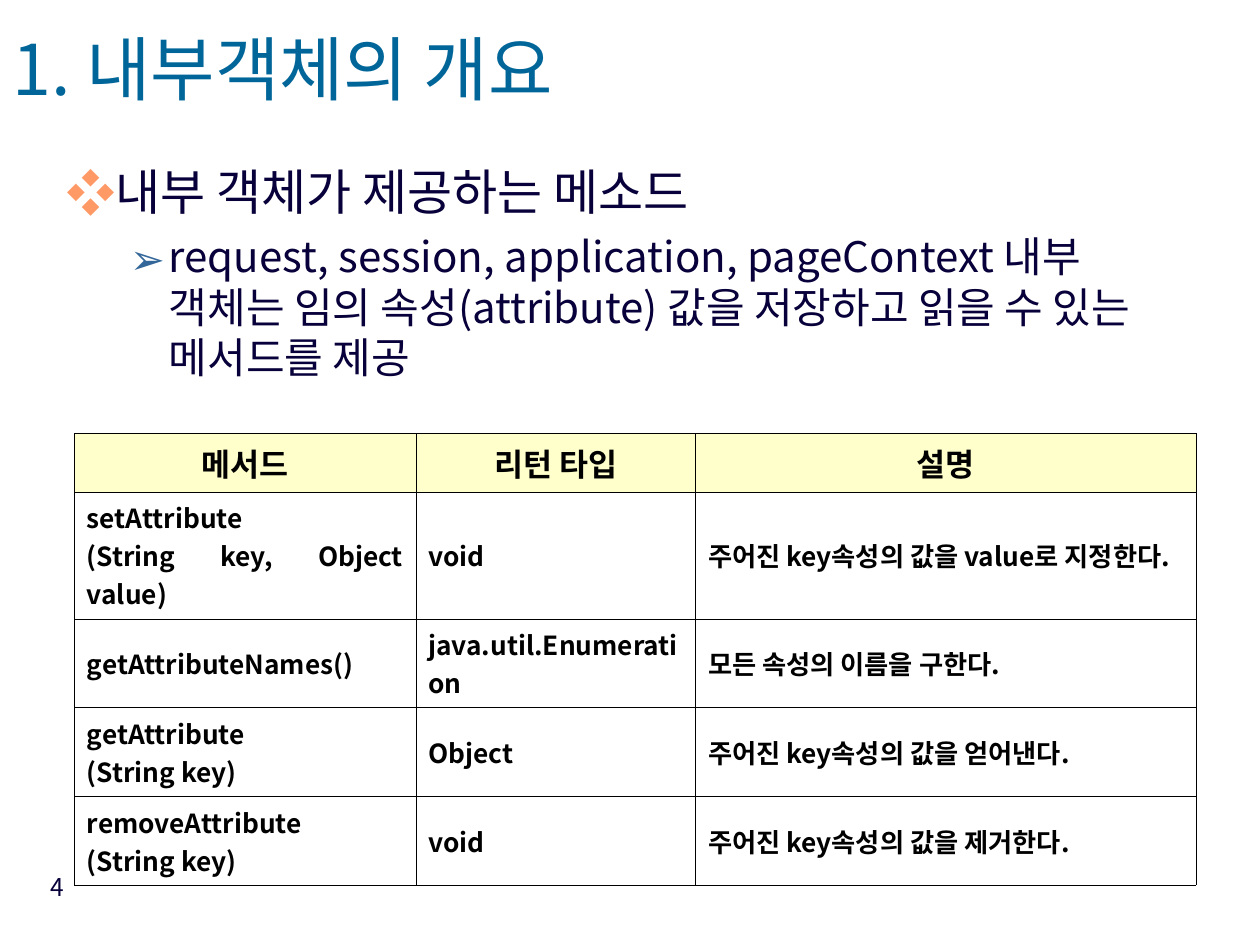
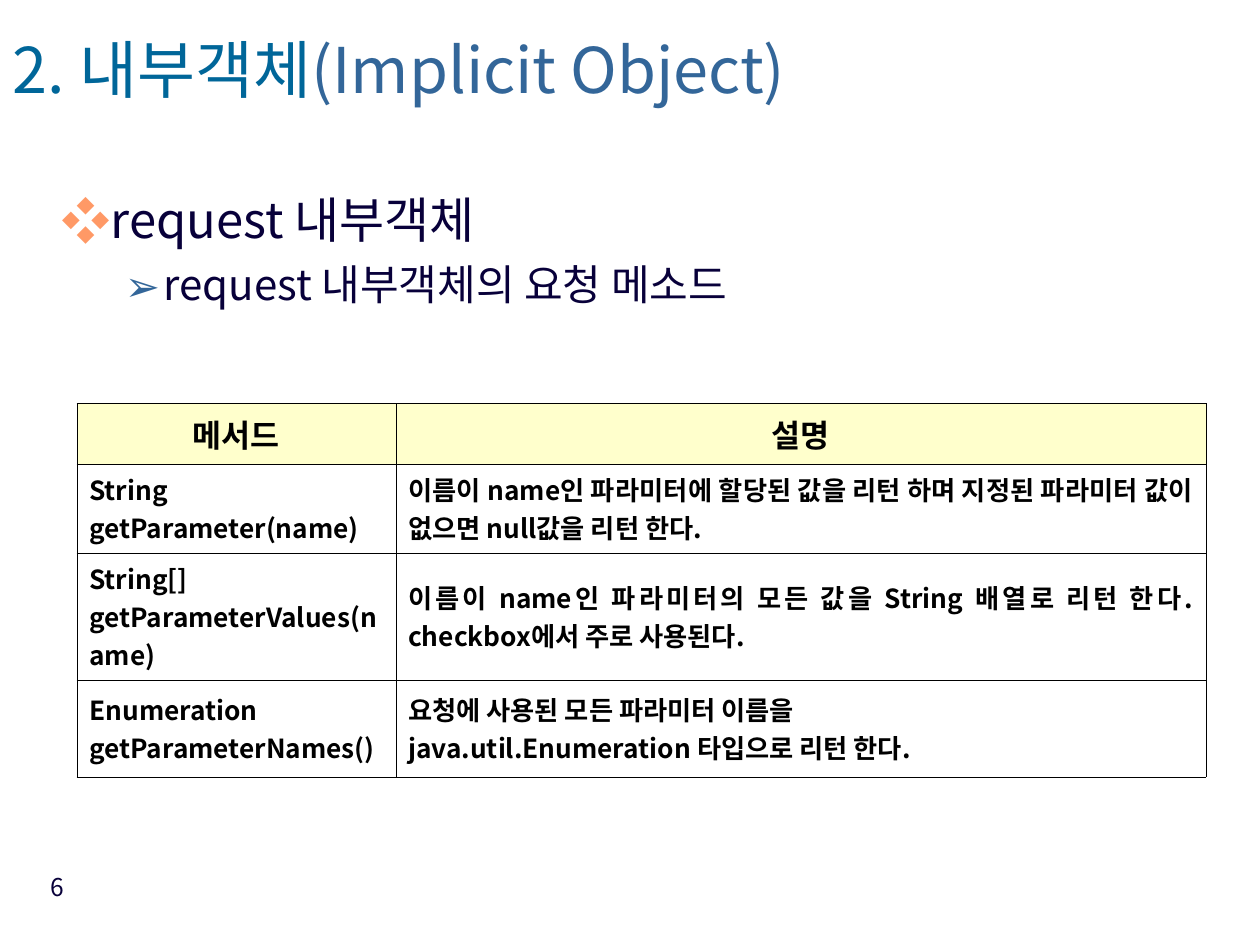
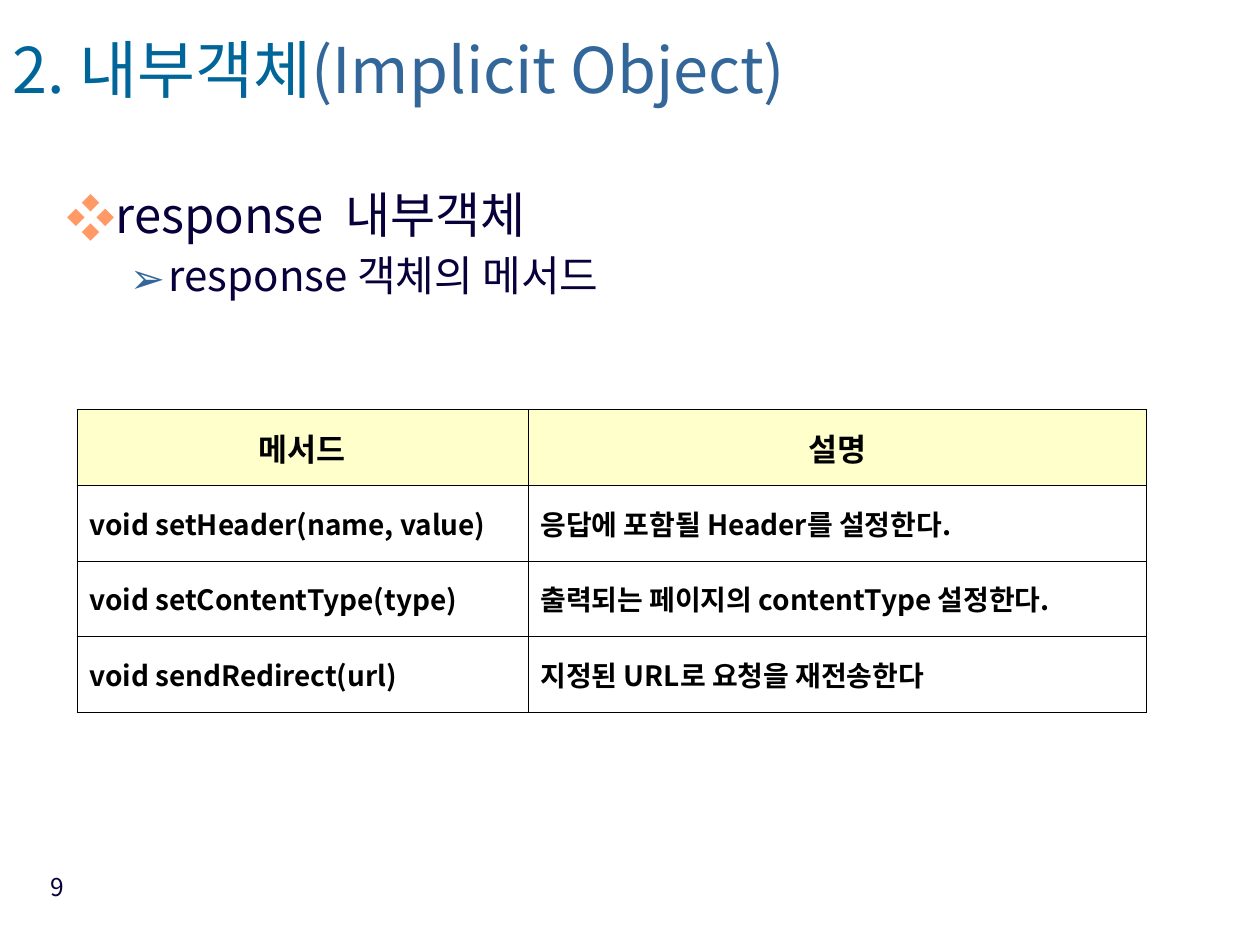
"""Builds three slides on JSP built-in objects, each with a method table."""
from dataclasses import dataclass
from typing import Any

from lxml.etree import SubElement
from pptx import Presentation
from pptx.dml.color import RGBColor
from pptx.enum.text import MSO_ANCHOR as Anchor, MSO_AUTO_SIZE as AutoSize, PP_ALIGN as Align
from pptx.oxml import parse_xml
from pptx.oxml.ns import nsdecls, qn
from pptx.util import Inches, Pt

FONT = "Noto Sans CJK KR"
TEAL, BLUE, ORANGE, NAVY = "006699", "336699", "FF9966", "08003A"
BLACK, WHITE, CREAM = "000000", "FFFFFF", "FFFFCC"
BORDER_WIDTH = Pt(0.06)


@dataclass(frozen=True)
class Level:
    bullet: str
    color: str
    size: float
    indent: float
    hanging: float
    before: float


@dataclass(frozen=True)
class MethodTable:
    left: float
    top: float
    cols: list[float]
    heights: list[float]
    size: float
    rows: list[list[str]]


@dataclass(frozen=True)
class MethodSlide:
    number: int
    title: list[tuple[str, str]]
    title_size: float
    body_box: tuple[float, float, float, float]
    points: list[str]
    table: MethodTable
    spacing: float = 1.0


LEVELS = [Level("❖", ORANGE, 28, 0.38, 0.38, 7), Level("➢", BLUE, 24, 0.81, 0.31, 6)]
IMPLICIT_TITLE = [("2. 내부객체", TEAL), ("(Implicit Object)", BLUE)]

SLIDES = [
    MethodSlide(
        4, [("1. 내부객체의 개요", TEAL)], 40, (0.43, 1.23, 9.21, 2.21),
        ["내부 객체가 제공하는 메소드",
         "request, session, application, pageContext 내부 객체는 임의 속성(attribute) 값을 "
         "저장하고 읽을 수 있는 메서드를 제공"],
        MethodTable(0.59, 3.44, [2.71, 2.22, 3.97], [0.46, 1.01, 0.7, 0.7, 0.7], 15, [
            ["메서드", "리턴 타입", "설명"],
            ["setAttribute\n(String key, Object value)", "void",
             "주어진 key속성의 값을 value로 지정한다."],
            ["getAttributeNames()", "java.util.Enumeration", "모든 속성의 이름을 구한다."],
            ["getAttribute\n(String key)", "Object", "주어진 key속성의 값을 얻어낸다."],
            ["removeAttribute\n(String key)", "void", "주어진 key속성의 값을 제거한다."],
        ])),
    MethodSlide(
        6, IMPLICIT_TITLE, 36, (0.39, 1.45, 9.21, 1.34),
        ["request 내부객체", "request 내부객체의 요청 메소드"],
        MethodTable(0.61, 3.2, [2.53, 6.43], [0.48, 0.71, 1.0, 0.77], 15, [
            ["메서드", "설명"],
            ["String getParameter(name)",
             "이름이 name인 파라미터에 할당된 값을 리턴 하며 지정된 파라미터 값이 없으면 "
             "null값을 리턴 한다."],
            ["String[] getParameterValues(name)",
             "이름이 name인 파라미터의 모든 값을 String 배열로 리턴 한다. "
             "checkbox에서 주로 사용된다."],
            ["Enumeration getParameterNames()",
             "요청에 사용된 모든 파라미터 이름을\njava.util.Enumeration 타입으로 리턴 한다."],
        ])),
    MethodSlide(
        9, IMPLICIT_TITLE, 36, (0.43, 1.47, 9.21, 1.02),
        ["response  내부객체", "response 객체의 메서드"],
        MethodTable(0.61, 3.25, [3.58, 4.91], [0.6] * 4, 16, [
            ["메서드", "설명"],
            ["void setHeader(name, value)", "응답에 포함될 Header를 설정한다."],
            ["void setContentType(type)", "출력되는 페이지의 contentType 설정한다."],
            ["void sendRedirect(url)", "지정된 URL로 요청을 재전송한다"],
        ]), 0.9),
]


def rgb(color: str) -> RGBColor:
    return RGBColor.from_string(color)


def apply(target: Any, values: dict[str, Any]) -> None:
    for name, value in values.items():
        setattr(target, name, value)


def place(sp: Any, box: tuple[float, float, float, float]) -> None:
    apply(sp, dict(zip(("left", "top", "width", "height"), map(Inches, box))))


def add_run(p: Any, text: str, size: float, color: str, bold: bool = False) -> None:
    r = p.add_run()
    r.text = text
    r.font.color.rgb = rgb(color)
    apply(r.font, {"size": Pt(size), "bold": bold, "name": FONT})
    SubElement(r.font._element, qn("a:ea"), typeface=FONT)


def add_bullet(p: Any, level: Level) -> None:
    pPr = p._p.get_or_add_pPr()
    pPr.set("marL", str(Inches(level.indent)))
    pPr.set("indent", str(-Inches(level.hanging)))
    SubElement(SubElement(pPr, qn("a:buClr")), qn("a:srgbClr"), val=level.color)
    SubElement(pPr, qn("a:buFont"), typeface=FONT)
    SubElement(pPr, qn("a:buChar"), char=level.bullet)


def add_borders(cell: Any) -> None:
    tcPr = cell._tc.get_or_add_tcPr()
    for i, side in enumerate("LRTB"):
        tcPr.insert(i, parse_xml(
            f'<a:ln{side} {nsdecls("a")} w="{BORDER_WIDTH}"><a:solidFill>'
            f'<a:srgbClr val="{BLACK}"/></a:solidFill></a:ln{side}>'))


def draw_title(sp: Any, data: MethodSlide) -> None:
    place(sp, (0, 0.28, 8.54, 0.67))
    tf = sp.text_frame
    apply(tf, {"auto_size": AutoSize.NONE, "vertical_anchor": Anchor.MIDDLE})
    p = tf.paragraphs[0]
    apply(p, {"alignment": Align.LEFT, "line_spacing": 0.7})
    for text, color in data.title:
        add_run(p, text, data.title_size, color)


def draw_body(sp: Any, data: MethodSlide) -> None:
    place(sp, data.body_box)
    tf = sp.text_frame
    apply(tf, {"auto_size": AutoSize.NONE, "vertical_anchor": Anchor.TOP})
    for i, (text, level) in enumerate(zip(data.points, LEVELS)):
        p = tf.add_paragraph() if i else tf.paragraphs[0]
        apply(p, {"level": i, "line_spacing": data.spacing, "space_before": Pt(level.before)})
        add_bullet(p, level)
        add_run(p, text, level.size, NAVY)


def draw_cell(cell: Any, text: str, size: float, fill: str, align: Any) -> None:
    cell.vertical_anchor = Anchor.MIDDLE
    cell.fill.solid()
    cell.fill.fore_color.rgb = rgb(fill)
    add_borders(cell)
    tf = cell.text_frame
    for i, line in enumerate(text.split("\n")):
        p = tf.add_paragraph() if i else tf.paragraphs[0]
        p.alignment = align
        add_run(p, line, size, BLACK, bold=True)


def draw_table(s: Any, data: MethodTable) -> None:
    box = (data.left, data.top, sum(data.cols), sum(data.heights))
    table = s.shapes.add_table(len(data.rows), len(data.cols), *map(Inches, box)).table
    apply(table, {"first_row": False, "horz_banding": False})
    for col, width in zip(table.columns, data.cols):
        col.width = Inches(width)
    for i, (row, height) in enumerate(zip(table.rows, data.heights)):
        row.height = Inches(height)
        style = (data.size, WHITE, Align.JUSTIFY) if i else (18, CREAM, Align.CENTER)
        for cell, text in zip(row.cells, data.rows[i]):
            draw_cell(cell, text, *style)


def draw_number(s: Any, number: int) -> None:
    sp = s.shapes.add_textbox(*map(Inches, (0.14, 6.87, 0.47, 0.52)))
    tf = sp.text_frame
    tf.word_wrap = True
    p = tf.paragraphs[0]
    p.alignment = Align.RIGHT
    add_run(p, str(number), 14, NAVY)


def main() -> None:
    prs = Presentation()
    apply(prs, {"slide_width": Inches(10), "slide_height": Inches(7.5)})
    for data in SLIDES:
        s = prs.slides.add_slide(prs.slide_layouts[1])
        draw_title(s.shapes.title, data)
        draw_body(s.placeholders[1], data)
        draw_table(s, data.table)
        draw_number(s, data.number)
    prs.save("out.pptx")


if __name__ == "__main__":
    main()
